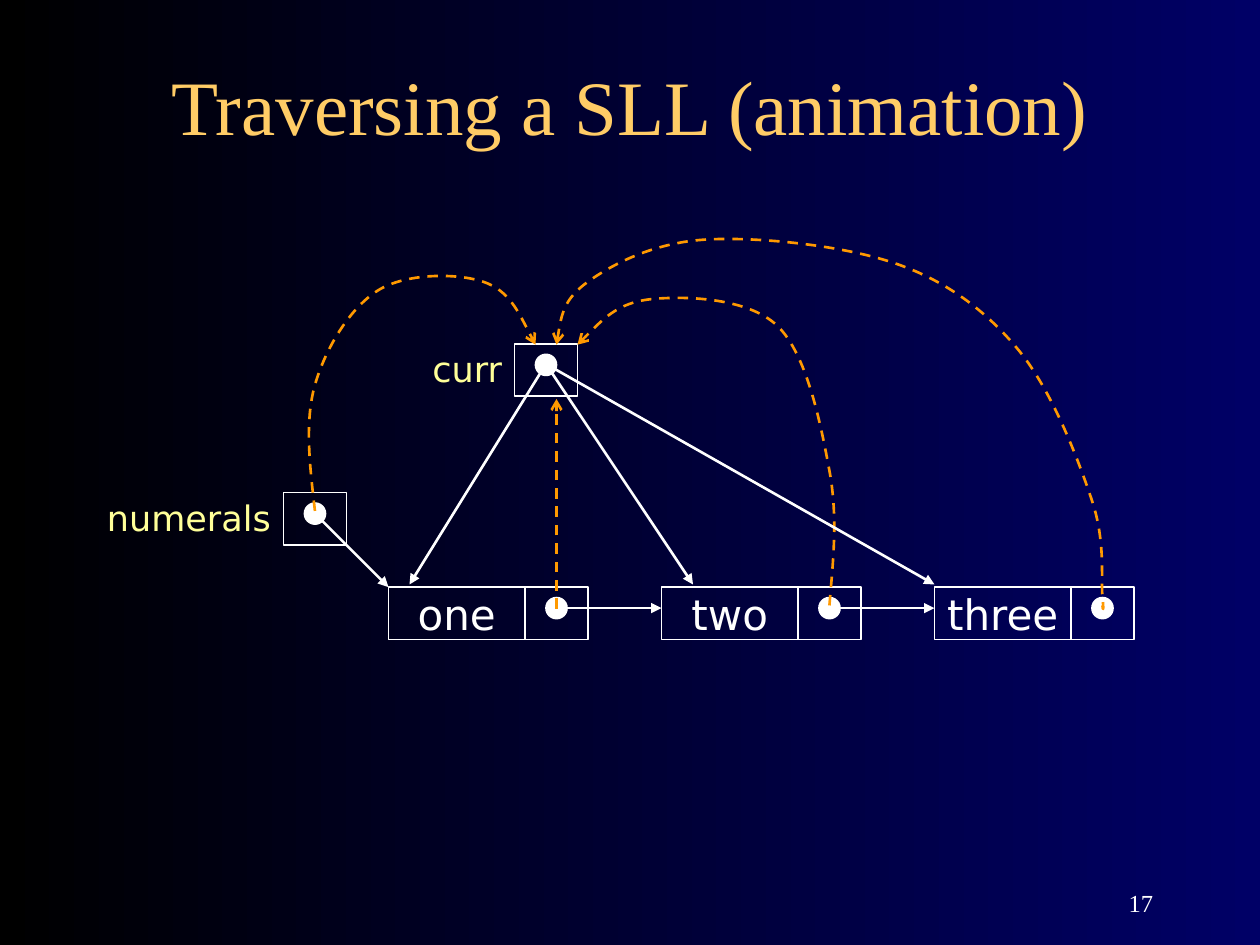
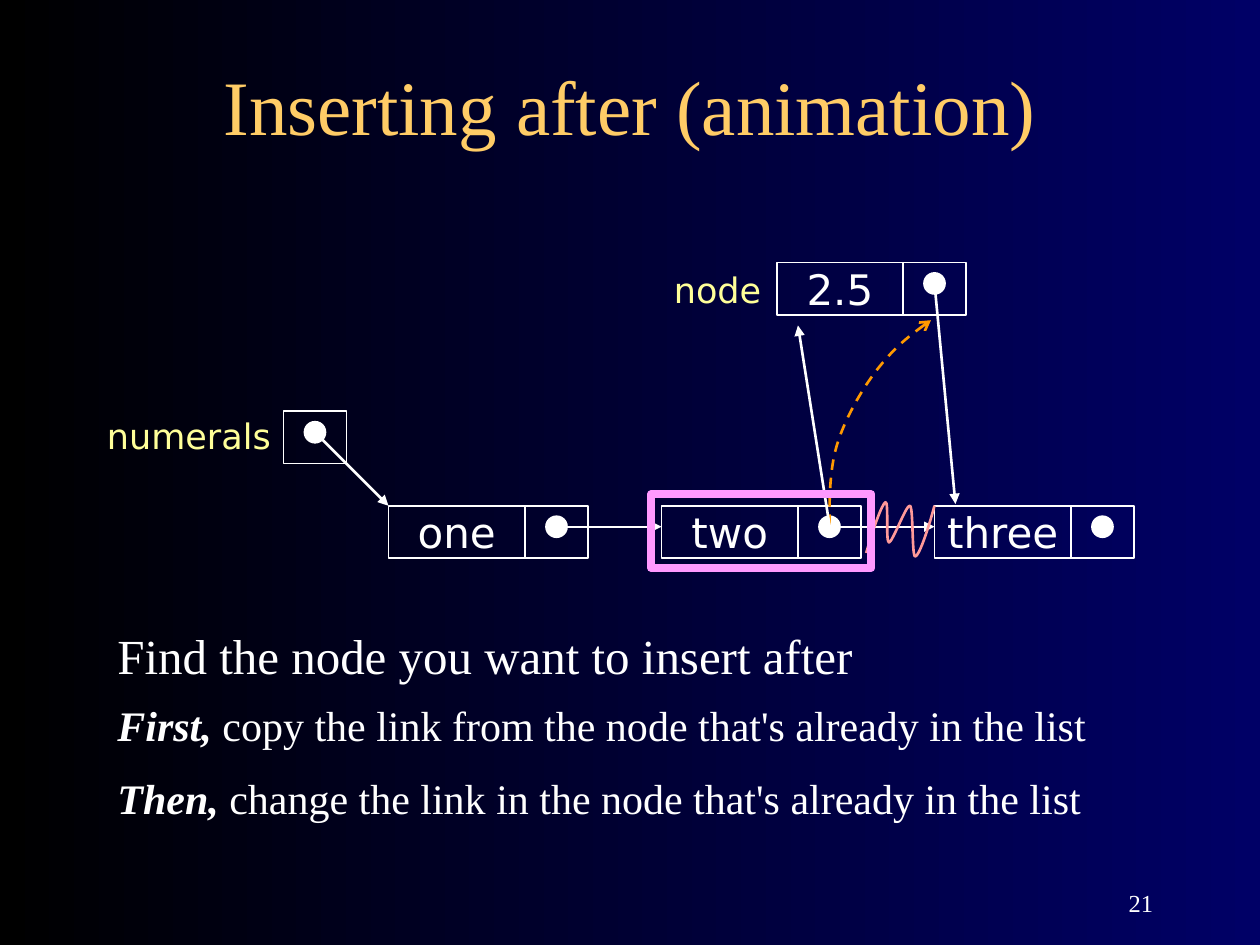
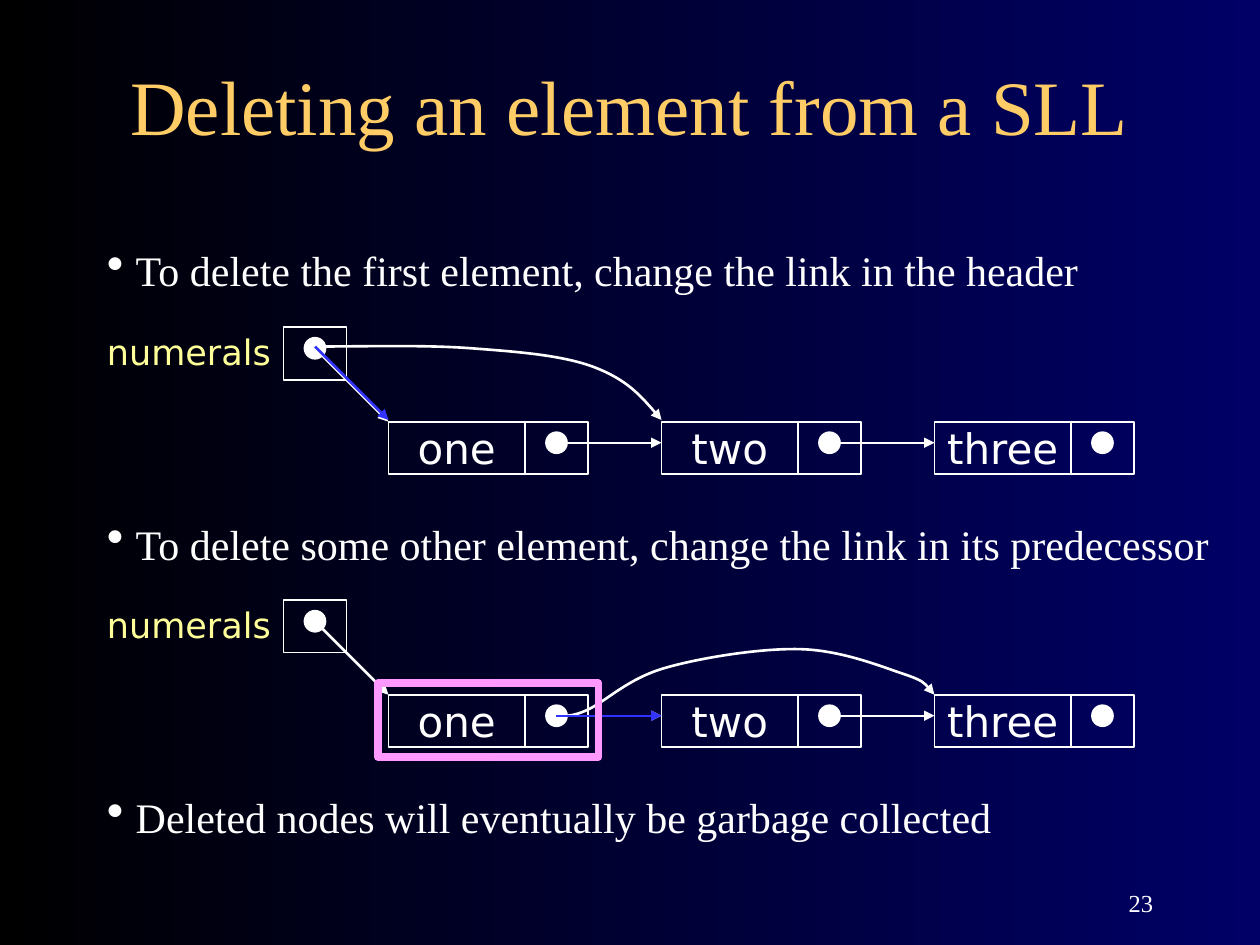
"""Build three slides about traversing and changing a singly linked list."""
from lxml import etree
from pptx import Presentation
from pptx import util as u
from pptx.dml import color
from pptx.enum import dml, shapes, text
from pptx.oxml import ns

WHITE, GOLD, YELLOW, ORANGE = "FFFFFF", "FFCC66", "FFFF99", "FF9900"
BLUE, PINK, ROSE = "3333FF", "FF99FF", "FF9999"
SERIF, SANS = "Times New Roman", "DejaVu Sans"

WORDS = ["one", "two", "three"]
CHAIN_LEFT, PITCH, CELL, LINK, HEIGHT = 222, 156, 78, 36, 30
HEADER_LEFT, HEADER_RISE = 162, 54
DOT_X, DOT_Y, DOT_RADIUS = 18, 12, 6
NOTE_TOP, NOTE_STEP = 354, 42
BULLET_TOP, BULLET_STEP = 136, 156.5
CURR_DOT = (312, 208)

SOLID = dict(hue=WHITE, weight=1.5, head="triangle")
THIN = dict(SOLID, weight=1)
COPY = dict(hue=ORANGE, weight=1.5, head="arrow", dashed=True)
OLD = dict(SOLID, hue=BLUE)
OLD_THIN = dict(THIN, hue=BLUE)
SCRIBBLE = dict(hue=ROSE, weight=1.5)

SLIDES = [
    dict(
        title="Traversing a SLL (animation)", number="17",
        chains=[335.5],
        headers=[("curr", 294, 196.5, 54, 72)],
        arrows=[(CURR_DOT, (x, 334), SOLID) for x in (234, 396, 534)]
        + [((318, 348), (318, 228), COPY)],
        curves=[
            ([(180, 292), (180, 220), (216, 166), (276, 161), (306, 197)], COPY),
            ([(474, 346), (474, 269), (444, 186), (372, 171), (330, 197)], COPY),
            ([(630, 346), (630, 341), (624, 286), (582, 200), (510, 150),
              (402, 137), (336, 161), (318, 197)], COPY),
        ],
    ),
    dict(
        title="Inserting after (animation)", number="21",
        chains=[289],
        nodes=[("2.5", 444, 150, 72)],
        labels=[("node", 378, 150, 66)],
        arrows=[
            ((534, 162), (546, 288), SOLID),
            ((474, 300), (456, 186), SOLID),
        ],
        curves=[
            ([(474, 300), (479, 252), (503, 209), (532, 183)], COPY),
            ([(495, 316), (506, 287), (508, 310), (520, 289), (523, 318),
              (534, 289)], SCRIBBLE),
        ],
        frames=[(1, 289)],
        notes=[
            ("", "Find the node you want to insert after", 28),
            ("First,", " copy the link from the node that's already in the list",
             24),
            ("Then,", " change the link in the node that's already in the list",
             24),
        ],
    ),
    dict(
        title="Deleting an element from a SLL", number="23",
        chains=[241, 397],
        arrows=[
            ((180, 198), (222, 240), OLD),
            ((318, 409), (378, 409), OLD_THIN),
        ],
        curves=[
            ([(180, 198), (269, 199), (340, 210), (378, 240)], SOLID),
            ([(318, 409), (337, 405), (379, 382), (459, 371), (516, 385),
              (534, 397)], SOLID),
        ],
        frames=[(0, 397)],
        bullets=[
            "To delete the first element, change the link in the header",
            "To delete some other element, change the link in its predecessor",
            "Deleted nodes will eventually be garbage collected",
        ],
    ),
]


def rgb(value):
    """Turn a hex string into a colour."""
    return color.RGBColor.from_string(value)


def points(*values):
    """Turn numbers into lengths in points."""
    return [u.Pt(value) for value in values]


def style_text(paragraph, font, size, hue, align=text.PP_ALIGN.LEFT):
    """Format every run of a paragraph."""
    paragraph.alignment = align
    for run in paragraph.runs:
        run.font.name, run.font.size = font, u.Pt(size)
        run.font.color.rgb = rgb(hue)


def style_line(shape, hue, weight, head=None, dashed=False):
    """Give a shape or connector its line, dash and arrowhead."""
    shape.line.color.rgb = rgb(hue)
    shape.line.width = u.Pt(weight)
    if dashed:
        shape.line.dash_style = dml.MSO_LINE.DASH
    if head:
        line = shape.element.xpath(".//a:ln")[0]
        etree.SubElement(line, ns.qn("a:tailEnd"), type=head)


def add_text(slide, words, box, font, size, hue, align=text.PP_ALIGN.LEFT):
    """Add a wrapped text box and return its shape."""
    shape = slide.shapes.add_textbox(*points(*box))
    shape.text_frame.word_wrap = True
    shape.text_frame.text = words
    style_text(shape.text_frame.paragraphs[0], font, size, hue, align)
    return shape


def add_box(slide, kind, box, fill=None, hue=WHITE, weight=1):
    """Add an outlined preset shape."""
    shape = slide.shapes.add_shape(kind, *points(*box))
    shape.shadow.inherit = False
    if fill:
        shape.fill.solid()
        shape.fill.fore_color.rgb = rgb(fill)
    else:
        shape.fill.background()
    style_line(shape, hue, weight)
    return shape


def add_arrow(slide, start, end, style):
    """Add a straight arrow."""
    connector = slide.shapes.add_connector(
        shapes.MSO_CONNECTOR.STRAIGHT, *points(*start, *end))
    style_line(connector, **style)
    etree.SubElement(connector.element.spPr, ns.qn("a:effectLst"))


def shift(point, vector, factor):
    """Move a point along a vector."""
    return tuple(p + factor * v for p, v in zip(point, vector))


def middle(first, second):
    """Find the point halfway between two points."""
    return tuple((a + b) / 2 for a, b in zip(first, second))


def smooth(knots):
    """List the two controls and the end of each cubic through the knots."""
    chords = [shift(after, before, -1) for before, after in zip(knots, knots[2:])]
    arrivals = [shift(k, c, -1 / 6) for k, c in zip(knots[1:], chords)]
    departures = [shift(k, c, 1 / 6) for k, c in zip(knots[1:], chords)]
    departures.insert(0, middle(knots[0], arrivals[0]))
    arrivals.append(middle(knots[-1], departures[-1]))
    pieces = zip(departures, arrivals, knots[1:])
    return [point for piece in pieces for point in piece]


def add_curve(slide, knots, style):
    """Add a smooth open curve through the knots."""
    builder = slide.shapes.build_freeform(*knots[0], scale=float(u.Pt(1)))
    builder.add_line_segments(smooth(knots), close=False)
    shape = builder.convert_to_shape()
    outline = shape.element.xpath(".//a:path")[0]
    segments = outline.xpath("a:lnTo")
    for first in range(0, len(segments), 3):
        cubic = etree.SubElement(outline, ns.qn("a:cubicBezTo"))
        for segment in segments[first:first + 3]:
            cubic.append(segment[0])
            outline.remove(segment)
    shape.shadow.inherit = False
    shape.fill.background()
    style_line(shape, **style)


def add_pointer(slide, left, top):
    """Add a link box with its dot and return the dot's centre."""
    x, y = left + DOT_X, top + DOT_Y
    add_box(slide, shapes.MSO_SHAPE.RECTANGLE, (left, top, LINK, HEIGHT))
    dot = (x - DOT_RADIUS, y - DOT_RADIUS, 2 * DOT_RADIUS, 2 * DOT_RADIUS)
    add_box(slide, shapes.MSO_SHAPE.OVAL, dot, WHITE)
    return x, y


def add_node(slide, word, left, top, width=CELL):
    """Add a value cell and its link, and return the dot's centre."""
    cell = add_box(slide, shapes.MSO_SHAPE.RECTANGLE, (left, top, width, HEIGHT))
    frame = cell.text_frame
    frame.word_wrap = False
    frame.vertical_anchor = text.MSO_ANCHOR.MIDDLE
    frame.text = word
    style_text(frame.paragraphs[0], SANS, 24, WHITE, text.PP_ALIGN.CENTER)
    return add_pointer(slide, left + width, top)


def add_label(slide, word, left, top, width):
    """Add the name of a variable."""
    add_text(slide, word, (left, top, width, 31), SANS, 20, YELLOW)


def add_header(slide, word, left, top, offset, width):
    """Add a named pointer and return the dot's centre."""
    add_label(slide, word, left - offset, top - 1.5, width)
    return add_pointer(slide, left, top)


def add_chain(slide, top):
    """Add the header and the linked nodes of the list."""
    dot = add_header(slide, "numerals", HEADER_LEFT, top - HEADER_RISE, 108, 114)
    add_arrow(slide, dot, (CHAIN_LEFT, top), SOLID)
    for index, word in enumerate(WORDS):
        left = CHAIN_LEFT + index * PITCH
        if index:
            add_arrow(slide, dot, (left, dot[1]), THIN)
        dot = add_node(slide, word, left, top)


def add_note(slide, index, lead, rest, size):
    """Add a sentence with an optional bold italic lead."""
    box = (60, NOTE_TOP + index * NOTE_STEP, 624, 40)
    shape = add_text(slide, lead, box, SERIF, size, WHITE)
    paragraph = shape.text_frame.paragraphs[0]
    for run in paragraph.runs:
        run.font.bold = run.font.italic = True
    paragraph.add_run().text = rest
    style_text(paragraph, SERIF, size, WHITE)


def add_bullet(slide, index, words):
    """Add a sentence with a hanging bullet."""
    box = (54, BULLET_TOP + index * BULLET_STEP, 648, 37)
    shape = add_text(slide, words, box, SERIF, 24, WHITE)
    properties = shape.text_frame.paragraphs[0]._p.get_or_add_pPr()
    indent = u.Pt(16.5)
    properties.set("marL", str(indent))
    properties.set("indent", str(-indent))
    etree.SubElement(properties, ns.qn("a:buSzPct"), val="117000")
    etree.SubElement(properties, ns.qn("a:buChar"), char="•")


def add_title(slide, words):
    """Fill and place the title."""
    title = slide.shapes.title
    title.left, title.top, title.width, title.height = points(54, 30, 612, 60)
    title.text_frame.text = words
    title.text_frame.vertical_anchor = text.MSO_ANCHOR.MIDDLE
    style_text(title.text_frame.paragraphs[0], SERIF, 44, GOLD,
               text.PP_ALIGN.CENTER)


def build_slide(presentation, content):
    """Add one slide from its content."""
    slide = presentation.slides.add_slide(presentation.slide_layouts[5])
    add_title(slide, content["title"])
    number = add_text(slide, content["number"], (516, 492, 150, 36), SERIF, 14,
                      WHITE, text.PP_ALIGN.RIGHT)
    number.text_frame.vertical_anchor = text.MSO_ANCHOR.BOTTOM
    for top in content["chains"]:
        add_chain(slide, top)
    for key, add in [("headers", add_header), ("nodes", add_node),
                     ("labels", add_label), ("curves", add_curve),
                     ("arrows", add_arrow)]:
        for item in content.get(key, []):
            add(slide, *item)
    for index, note in enumerate(content.get("notes", [])):
        add_note(slide, index, *note)
    for index, words in enumerate(content.get("bullets", [])):
        add_bullet(slide, index, words)
    for index, top in content.get("frames", []):
        box = (CHAIN_LEFT + index * PITCH - 6, top - 6.5, 126, 42)
        add_box(slide, shapes.MSO_SHAPE.RECTANGLE, box, hue=PINK, weight=4.5)


def main():
    """Build and save the presentation."""
    presentation = Presentation()
    presentation.slide_width, presentation.slide_height = points(720, 540)
    background = presentation.slide_master.background.fill
    background.gradient()
    background.gradient_angle = 0
    for stop, hue in zip(background.gradient_stops, ["000000", "000066"]):
        stop.color.rgb = rgb(hue)
    for content in SLIDES:
        build_slide(presentation, content)
    presentation.save("out.pptx")


if __name__ == "__main__":
    main()
